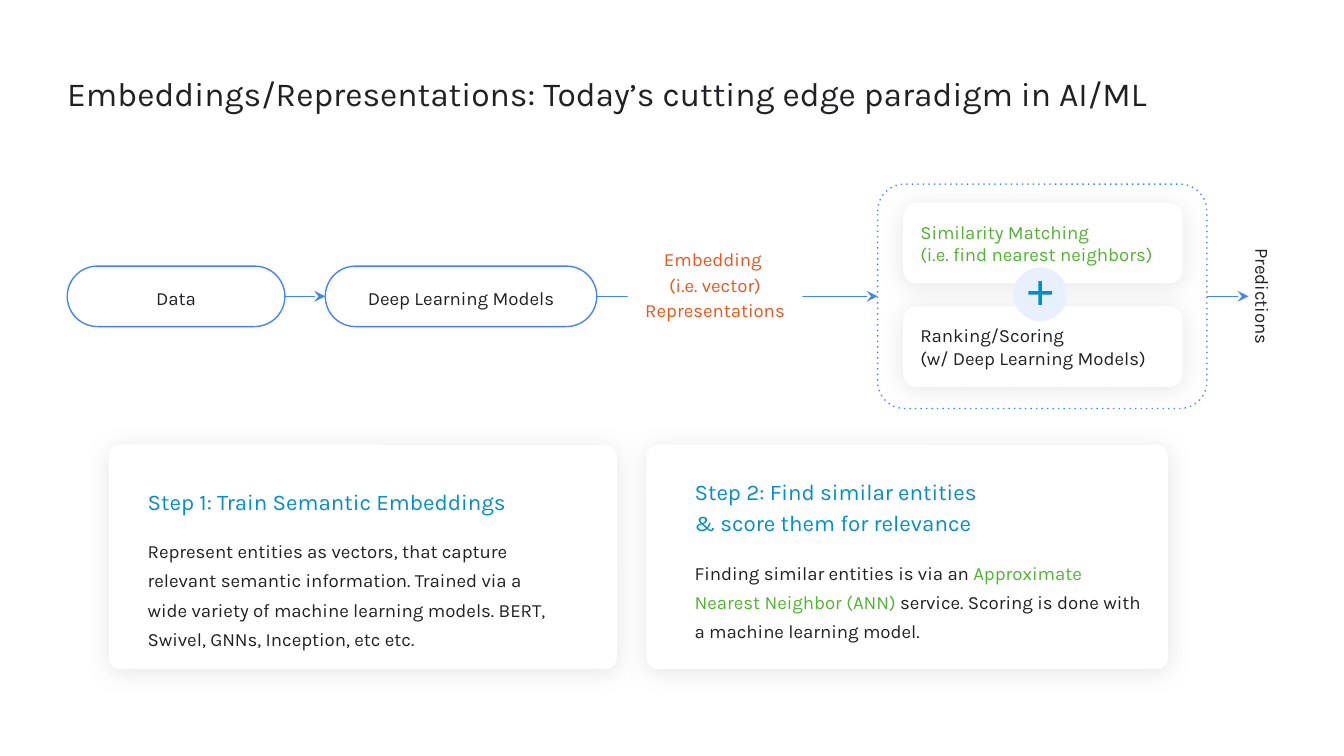
from dataclasses import dataclass
from typing import Optional

from lxml.etree import SubElement
from pptx import Presentation
from pptx.dml.color import RGBColor
from pptx.enum.shapes import MSO_CONNECTOR, MSO_SHAPE
from pptx.enum.text import MSO_ANCHOR, PP_ALIGN
from pptx.oxml.ns import qn
from pptx.util import Pt

PX = 9144  # EMU per px, 100 px to the inch
FONT = "Karla"
COLORS = {
    "white": "FFFFFF",
    "ink": "202124",
    "blue": "4285F4",
    "pale": "E8F0FE",
    "teal": "058DC7",
    "green": "50B432",
    "orange": "ED561B",
    "black": "000000",
}


@dataclass
class Box:
    x: int
    y: int
    w: int
    h: int


@dataclass
class Para:
    runs: list  # (text, color) pairs
    size: int = 10
    spacing: Optional[float] = None
    before: int = 0
    align: PP_ALIGN = PP_ALIGN.LEFT


def rgb(name: str) -> RGBColor:
    return RGBColor.from_string(COLORS[name])


def add_text(sp, paras: list[Para], inset: int = 0, right: Optional[int] = None,
             anchor=MSO_ANCHOR.MIDDLE) -> None:
    tf = sp.text_frame
    tf.word_wrap = True
    tf.vertical_anchor = anchor
    tf.margin_left = tf.margin_top = tf.margin_bottom = inset * PX
    tf.margin_right = (inset if right is None else right) * PX
    for i, para in enumerate(paras):
        p = tf.paragraphs[0] if i == 0 else tf.add_paragraph()
        p.alignment = para.align
        if para.spacing:
            p.line_spacing = para.spacing
        if para.before:
            p.space_before = Pt(para.before)
        for text, color in para.runs:
            for n, line in enumerate(text.split("\n")):
                if n:
                    p.add_line_break()
                r = p.add_run()
                r.text = line
                r.font.name = FONT
                r.font.size = Pt(para.size)
                r.font.color.rgb = rgb(color)


def add_label(s, box: Box, paras: list[Para], **layout):
    sp = s.shapes.add_textbox(box.x * PX, box.y * PX, box.w * PX, box.h * PX)
    add_text(sp, paras, **layout)
    return sp


def add_box(s, kind, box: Box, fill: Optional[str] = "white", line: Optional[str] = None,
            adj: Optional[float] = None, shadow: bool = False):
    sp = s.shapes.add_shape(kind, box.x * PX, box.y * PX, box.w * PX, box.h * PX)
    if adj is not None:
        sp.adjustments[0] = adj
    if fill:
        sp.fill.solid()
        sp.fill.fore_color.rgb = rgb(fill)
    else:
        sp.fill.background()
    if line:
        sp.line.color.rgb = rgb(line)
        sp.line.width = Pt(0.75)
    else:
        sp.line.fill.background()
    sp.shadow.inherit = False
    if shadow:
        effects = sp._element.spPr.find(qn("a:effectLst"))
        outer = SubElement(effects, qn("a:outerShdw"), blurRad=str(Pt(13.5)),
                           dist=str(Pt(1.5)), dir="5400000", algn="bl", rotWithShape="0")
        color = SubElement(outer, qn("a:srgbClr"), val=COLORS["black"])
        SubElement(color, qn("a:alpha"), val="10000")
    return sp


def add_arrow(s, start, end, end_site: int = 1):
    c = s.shapes.add_connector(MSO_CONNECTOR.STRAIGHT, 0, 0, 0, 0)
    c.begin_connect(start, 3)
    c.end_connect(end, end_site)
    c.line.color.rgb = rgb("blue")
    c.line.width = Pt(0.75)
    sp_pr = c._element.spPr
    SubElement(sp_pr.find(qn("a:ln")), qn("a:tailEnd"), type="stealth")
    SubElement(sp_pr, qn("a:effectLst"))
    return c


def add_pill(s, box: Box, text: str, margin: int):
    sp = add_box(s, MSO_SHAPE.ROUNDED_RECTANGLE, box, line="blue", adj=0.5)
    inner = Box(box.x + margin, box.y + 7, box.w - 2 * margin, 31)
    add_label(s, inner, [Para([(text, "ink")], spacing=1.15, align=PP_ALIGN.CENTER)])
    return sp


def main() -> None:
    prs = Presentation()
    prs.slide_width = 1000 * PX
    prs.slide_height = prs.slide_width * 9 // 16
    s = prs.slides.add_slide(prs.slide_layouts[6])
    rounded = MSO_SHAPE.ROUNDED_RECTANGLE

    # Dotted frame around the matching stage
    frame = add_box(s, rounded, Box(653, 137, 245, 167), fill=None, line="blue", adj=0.12)
    SubElement(frame._element.spPr.find(qn("a:ln")), qn("a:prstDash"), val="dot")

    # Title
    title = "Embeddings/Representations: Today’s cutting edge paradigm in AI/ML"
    add_label(s, Box(50, 50, 886, 39), [Para([(title, "ink")], 18, 1.15)],
              right=10, anchor=MSO_ANCHOR.TOP)

    # Step cards
    steps = [
        (Box(81, 331, 378, 167), Box(100, 343, 328, 118), 1.5,
         "Step 1: Train Semantic Embeddings",
         [("Represent entities as vectors, that capture relevant semantic information. "
           "Trained via a wide variety of machine learning models. "
           "BERT, Swivel, GNNs, Inception, etc etc.", "ink")]),
        (Box(481, 331, 388, 167), Box(507, 343, 356, 155), 1.15,
         "Step 2: Find similar entities \n& score them for relevance",
         [("Finding similar entities is via an ", "ink"),
          ("Approximate Nearest Neighbor (ANN) ", "green"),
          ("service. Scoring is done with a machine learning model.", "ink")]),
    ]
    for card, area, spacing, heading, body in steps:
        add_box(s, rounded, card, adj=0.052, shadow=True)
        add_label(s, area, [Para([(heading, "teal")], 12, spacing),
                            Para(body, 10, 1.3, before=10)],
                  inset=10, anchor=MSO_ANCHOR.TOP)

    # Pipeline: data, models, embedding
    data = add_pill(s, Box(50, 198, 162, 45), "Data", 16)
    models = add_pill(s, Box(242, 198, 202, 45), "Deep Learning Models", 23)
    add_arrow(s, data, models)
    add_arrow(s, models, frame)
    embedding = add_box(s, MSO_SHAPE.RECTANGLE, Box(467, 178, 130, 65))
    add_text(embedding, [Para([(text, "orange")], spacing=1.15, align=PP_ALIGN.CENTER)
                         for text in ("Embedding \n(i.e. vector)", "Representations")])

    # Matching and ranking boxes
    stages = [
        ("green", "Similarity Matching", "(i.e. find nearest neighbors)"),
        ("ink", "Ranking/Scoring", "(w/ Deep Learning Models)"),
    ]
    for i, (color, *lines) in enumerate(stages):
        sp = add_box(s, rounded, Box(672, 151 + 77 * i, 208, 60), adj=0.167, shadow=True)
        add_text(sp, [Para([(line, color)]) for line in lines], inset=10)

    # Plus badge
    add_box(s, MSO_SHAPE.OVAL, Box(754, 199, 40, 40), fill="pale")
    add_box(s, MSO_SHAPE.MATH_PLUS, Box(762, 206, 24, 24), fill="teal", adj=0.108)

    # Predictions, turned so that its bottom side faces left
    area = Box(888, 210, 103, 21)
    predictions = add_box(s, MSO_SHAPE.RECTANGLE, area)
    predictions.rotation = 90
    add_text(predictions, [Para([("Predictions", "ink")], align=PP_ALIGN.CENTER)], inset=10)
    arrow = add_arrow(s, frame, predictions, end_site=2)
    arrow.end_x = (area.x + (area.w - area.h) // 2) * PX
    arrow.end_y = arrow.begin_y

    prs.save("out.pptx")


if __name__ == "__main__":
    main()
